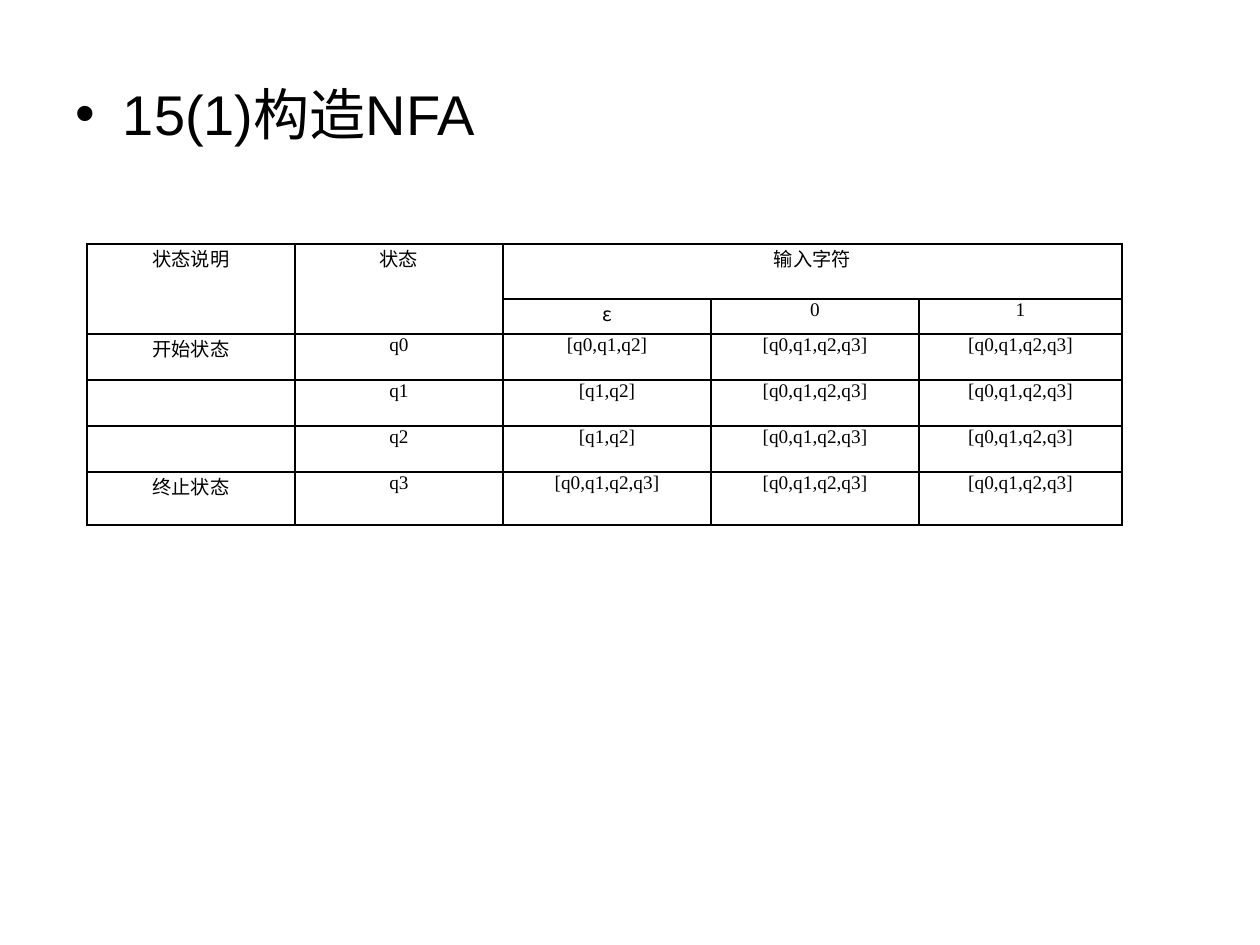
import pptx
import pptx.util
import pptx.dml.color
import pptx.enum.text
import pptx.oxml
import pptx.oxml.ns

SCALE = 914400 / 126
BLACK = "000000"
SERIF = "Times New Roman"
SANS = "Noto Sans CJK SC"
FULL = "[q0,q1,q2,q3]"
COLS = [208, 208, 208, 208, 203]
ROWS = [55, 35, 46, 46, 46, 53]
CELLS = [
    ["状态说明", "状态", "输入字符", "", ""],
    ["", "", "ε", "0", "1"],
    ["开始状态", "q0", "[q0,q1,q2]", FULL, FULL],
    ["", "q1", "[q1,q2]", FULL, FULL],
    ["", "q2", "[q1,q2]", FULL, FULL],
    ["终止状态", "q3", FULL, FULL, FULL],
]
SPANS = [((0, 0), (1, 0)), ((0, 1), (1, 1)), ((0, 2), (0, 4))]


def px(num):
    """Turn pixels into EMU."""
    return pptx.util.Emu(round(num * SCALE))


def color(text):
    """Turn a hex string into a colour."""
    return pptx.dml.color.RGBColor.from_string(text)


def apply(item, form):
    """Set each attribute named in a dict of format values."""
    for name, value in form.items():
        setattr(item, name, value)


def write(para, text, face, size):
    """Add one styled run to a paragraph."""
    run = para.add_run()
    run.text = text
    apply(run.font, {"name": face, "size": pptx.util.Pt(size)})
    run.font.color.rgb = color(BLACK)


def border(cell):
    """Draw a one-point line on every side of a cell."""
    props = cell._tc.get_or_add_tcPr()
    for side in ("lnL", "lnR", "lnT", "lnB"):
        props.append(pptx.oxml.parse_xml(
            f'<a:{side} {pptx.oxml.ns.nsdecls("a")} w="12700"><a:solidFill>'
            f'<a:srgbClr val="{BLACK}"/></a:solidFill></a:{side}>'))


def heading(slide, box):
    """Fill the bulleted body placeholder."""
    body = slide.placeholders[1]
    apply(body, dict(zip(("left", "top", "width", "height"), map(px, box))))
    write(body.text_frame.paragraphs[0], "15(1)构造NFA", "Arial", 32)


def states(slide, left, top):
    """Build the table of NFA transitions."""
    frame = slide.shapes.add_table(
        len(ROWS), len(COLS), px(left), px(top), px(sum(COLS)), px(sum(ROWS)))
    table = frame.table
    apply(table, {"first_row": False, "horz_banding": False})
    for col, width in zip(table.columns, COLS):
        col.width = px(width)
    for row, height in zip(table.rows, ROWS):
        row.height = px(height)
    for start, end in SPANS:
        table.cell(*start).merge(table.cell(*end))
    form = {"margin_left": px(9), "margin_right": px(9),
            "margin_top": 0, "margin_bottom": 0}
    for row, texts in enumerate(CELLS):
        for col, text in enumerate(texts):
            cell = table.cell(row, col)
            apply(cell, form)
            border(cell)
            cell.fill.background()
            if text:
                para = cell.text_frame.paragraphs[0]
                para.alignment = pptx.enum.text.PP_ALIGN.CENTER
                write(para, text, SANS if text == "ε" else SERIF, 11)


def main():
    """Build and save the slide."""
    deck = pptx.Presentation()
    apply(deck, {"slide_width": px(1260), "slide_height": px(945)})
    slide = deck.slides.add_slide(deck.slide_layouts[1])
    title = slide.shapes.title._element
    title.getparent().remove(title)
    heading(slide, (63, 73, 1134, 771))
    states(slide, 87, 244)
    deck.save("out.pptx")


if __name__ == "__main__":
    main()
